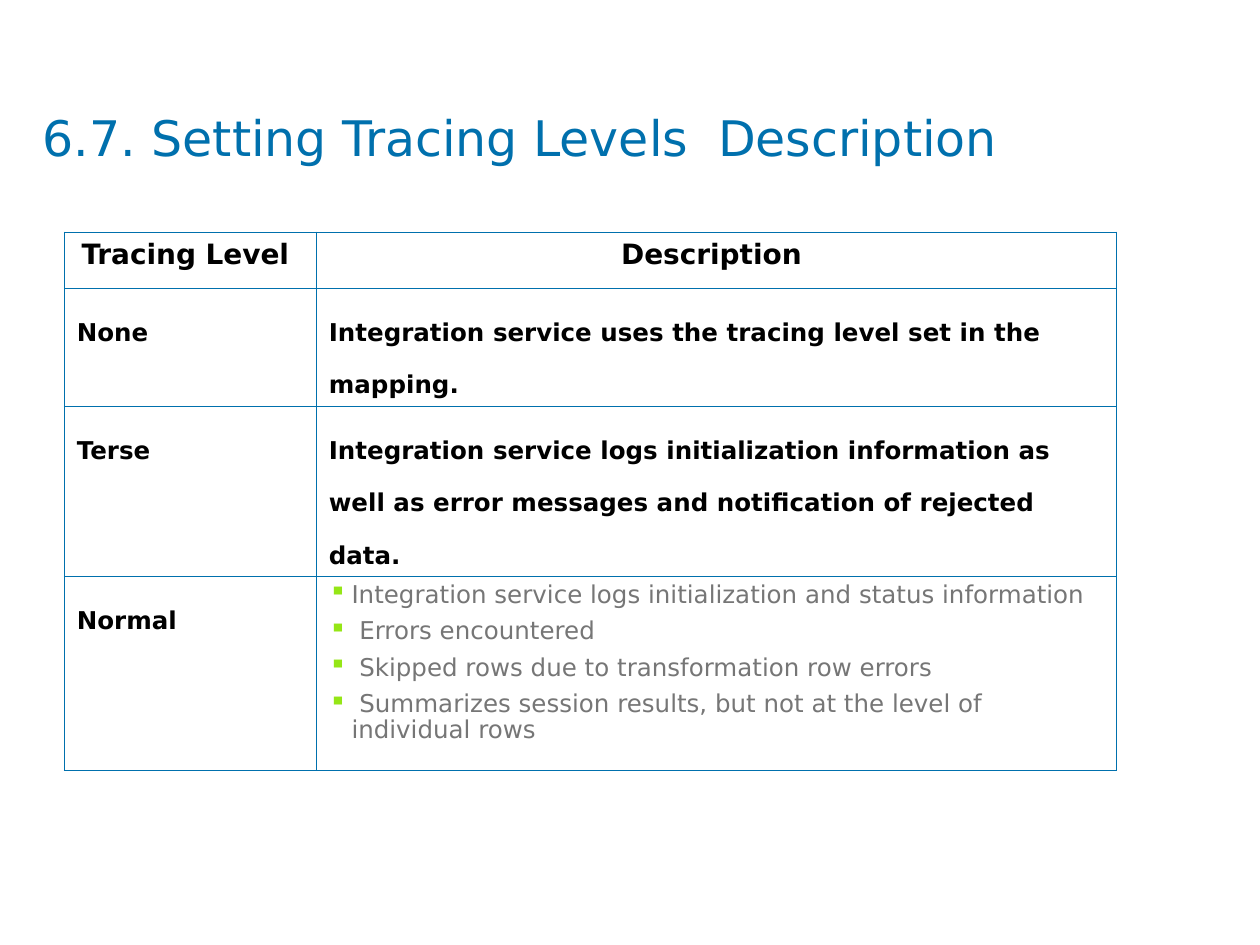
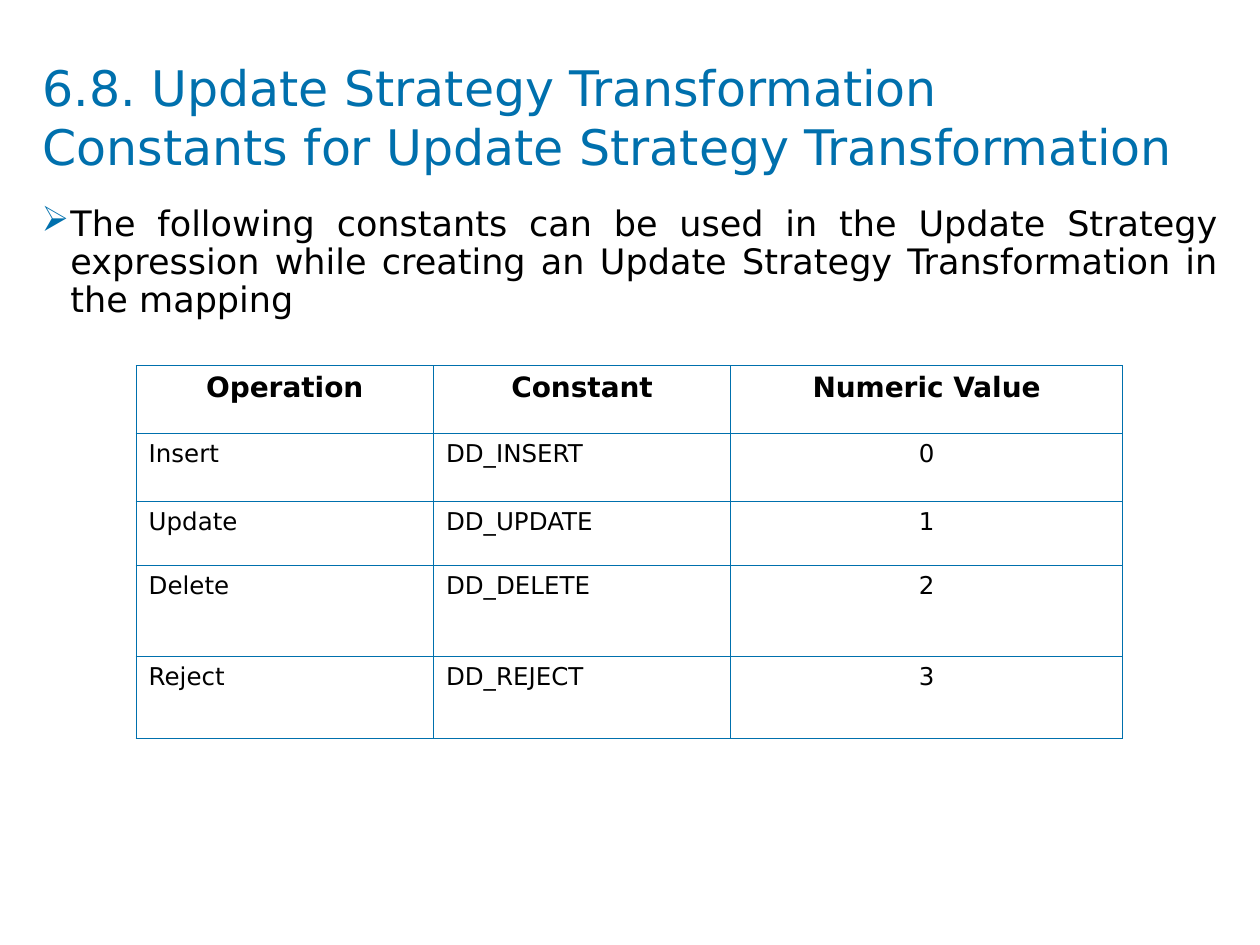
from lxml.etree import SubElement
from pptx import Presentation
from pptx.dml.color import RGBColor
from pptx.enum.text import MSO_ANCHOR, PP_ALIGN
from pptx.oxml.ns import qn
from pptx.util import Inches, Pt

FONT = "DejaVu Sans"
BLUE = "0070AD"
BLACK = "000000"
GRAY = "767676"
GREEN = "95E616"

TRACING_LEVELS = [
    ("None", "Integration service uses the tracing level set in the mapping."),
    ("Terse", "Integration service logs initialization information as well as "
              "error messages and notification of rejected data."),
]
NORMAL_DETAILS = [
    "Integration service logs initialization and status information",
    " Errors encountered",
    " Skipped rows due to transformation row errors",
    " Summarizes session results, but not at the level of individual rows",
]
OPERATIONS = ["Insert", "Update", "Delete", "Reject"]


def rgb(hex_color):
    return RGBColor.from_string(hex_color)


def add_bullet(paragraph, symbol, color, indent):
    properties = paragraph._p.get_or_add_pPr()
    properties.set("marL", str(Inches(indent)))
    properties.set("indent", str(-Inches(indent)))
    bullet_color = SubElement(properties, qn("a:buClr"))
    SubElement(bullet_color, qn("a:srgbClr"), val=color)
    SubElement(properties, qn("a:buChar"), char=symbol)


def write(paragraph, text, size=14, color=BLACK, bold=False,
          align=PP_ALIGN.LEFT, line_spacing=None, space_after=None):
    """Append text to a paragraph, breaking the line at each newline."""
    paragraph.alignment = align
    paragraph.line_spacing = line_spacing
    paragraph.space_after = space_after
    for index, line in enumerate(text.split("\n")):
        if index:
            paragraph.add_line_break()
        run = paragraph.add_run()
        run.text = line
        run.font.name = FONT
        run.font.size = Pt(size)
        run.font.bold = bold
        run.font.color.rgb = rgb(color)


def add_text_frame(slide, left, top, width, height, anchor=MSO_ANCHOR.TOP):
    """Add a wrapping text box without margins and return its frame."""
    frame = slide.shapes.add_textbox(
        Inches(left), Inches(top), Inches(width), Inches(height)).text_frame
    frame.word_wrap = True
    frame.vertical_anchor = anchor
    frame.margin_left = frame.margin_right = 0
    frame.margin_top = frame.margin_bottom = 0
    return frame


def add_title(slide, *parts):
    """Add the slide title from (text, size) parts."""
    frame = add_text_frame(slide, 0.34, 0.45, 9.33, 0.94, MSO_ANCHOR.BOTTOM)
    for text, size in parts:
        write(frame.paragraphs[0], text, size=size, color=BLUE)


def outline_cell(cell, line_width):
    properties = cell._tc.get_or_add_tcPr()
    for side in ("lnL", "lnR", "lnT", "lnB"):
        border = SubElement(properties, qn(f"a:{side}"), w=str(Pt(line_width)))
        border_fill = SubElement(border, qn("a:solidFill"))
        SubElement(border_fill, qn("a:srgbClr"), val=BLUE)
    cell.fill.background()


def add_grid(slide, left, top, widths, heights, line_width, headings):
    """Add an outlined table without fills and write its heading row."""
    grid = slide.shapes.add_table(
        len(heights), len(widths), Inches(left), Inches(top),
        Inches(sum(widths)), Inches(sum(heights))).table
    grid.first_row = grid.horz_banding = False
    for column, width in zip(grid.columns, widths):
        column.width = Inches(width)
    for row, height in zip(grid.rows, heights):
        row.height = Inches(height)
    for cell in grid.iter_cells():
        outline_cell(cell, line_width)
    for column, heading in enumerate(headings):
        write_cell(grid, 0, column, heading, size=16, bold=True,
                   align=PP_ALIGN.CENTER)
    return grid


def write_cell(grid, row, column, text, **text_format):
    write(grid.cell(row, column).text_frame.paragraphs[0], text, **text_format)


def build_tracing_levels(slide):
    add_title(slide, ("6.7. Setting Tracing Levels", 28), (" ", 54),
              ("Description", 28))
    levels = add_grid(slide, 0.51, 1.84, [2, 6.35], [0.45, 0.93, 1.35, 1.54],
                      0.34, ["Tracing Level ", "Description "])
    spaced_bold = {"bold": True, "line_spacing": Pt(30)}
    for row, level in enumerate(TRACING_LEVELS, start=1):
        for column, text in enumerate(level):
            write_cell(levels, row, column, text, **spaced_bold)
    write_cell(levels, 3, 0, "Normal", **spaced_bold)
    details = levels.cell(3, 1).text_frame
    for index, detail in enumerate(NORMAL_DETAILS):
        paragraph = details.add_paragraph() if index else details.paragraphs[0]
        add_bullet(paragraph, "▪", GREEN, 0.18)
        write(paragraph, detail, color=GRAY, line_spacing=0.9,
              space_after=Pt(6))


def build_update_strategy(slide):
    add_title(slide, ("6.8. Update Strategy Transformation\n"
                      "Constants for Update Strategy Transformation", 28))
    intro = add_text_frame(slide, 0.33, 1.64, 9.34, 5.08).paragraphs[0]
    add_bullet(intro, "➢", BLUE, 0.23)
    write(intro, "The following constants can be used in the Update Strategy "
                 "expression while creating an Update Strategy Transformation "
                 "in the mapping",
          size=20, align=PP_ALIGN.JUSTIFY, line_spacing=0.9)
    constants = add_grid(slide, 1.08, 2.9, [2.36, 2.36, 3.11],
                         [0.54, 0.54, 0.51, 0.72, 0.65], 0.45,
                         ["Operation", "Constant", "Numeric Value"])
    for value, operation in enumerate(OPERATIONS):
        row = value + 1
        write_cell(constants, row, 0, operation)
        write_cell(constants, row, 1, f"DD_{operation.upper()}")
        write_cell(constants, row, 2, str(value), align=PP_ALIGN.CENTER)


def main():
    presentation = Presentation()
    presentation.slide_width = Inches(10)
    presentation.slide_height = Inches(7.5)
    blank = presentation.slide_layouts[6]
    for build in (build_tracing_levels, build_update_strategy):
        build(presentation.slides.add_slide(blank))
    presentation.save("out.pptx")


if __name__ == "__main__":
    main()
